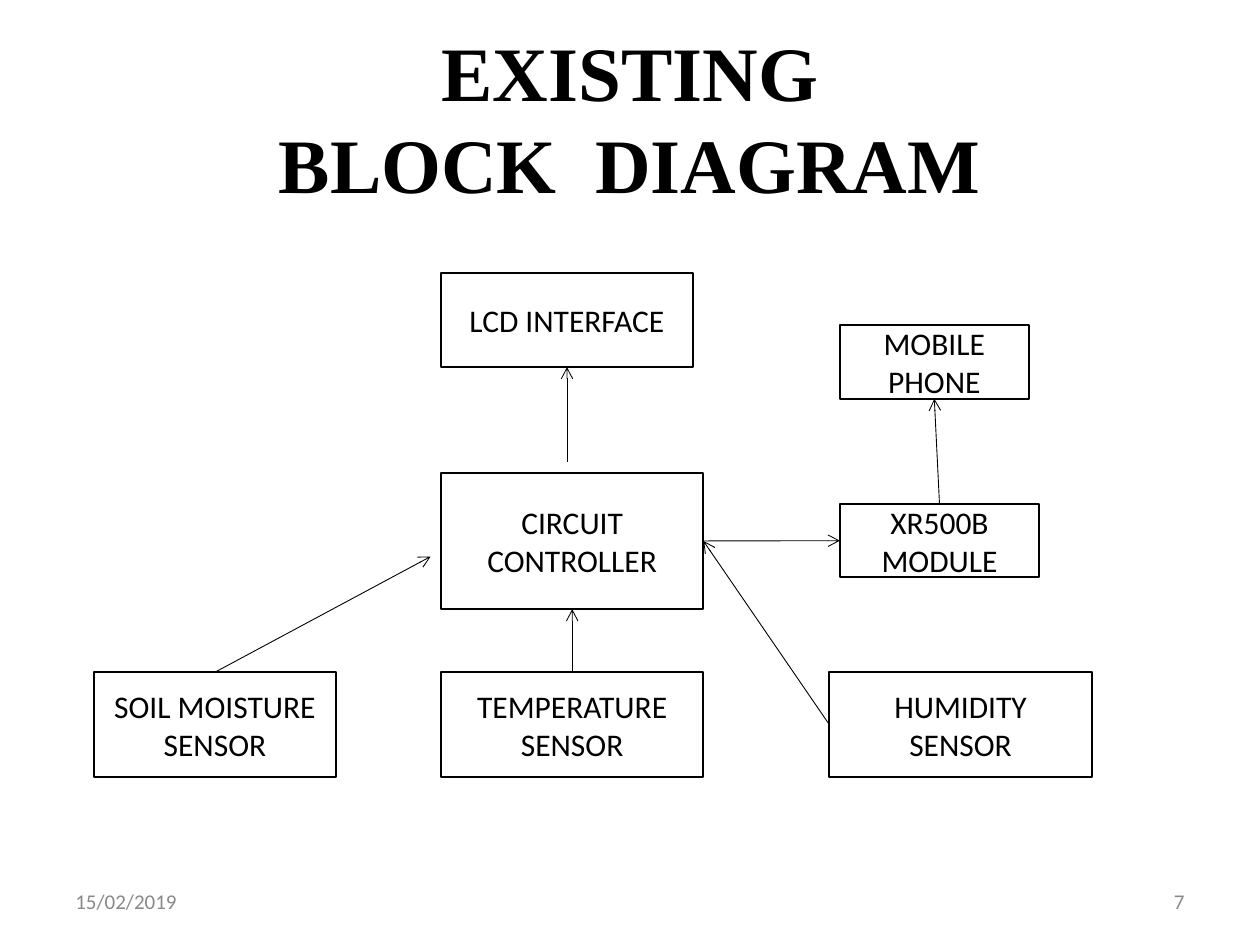
from lxml import etree
from pptx import Presentation
from pptx.dml.color import RGBColor
from pptx.enum.shapes import MSO_CONNECTOR as Connector, MSO_SHAPE as Shape
from pptx.enum.text import MSO_ANCHOR as Anchor, PP_ALIGN as Align
from pptx.oxml.ns import qn
from pptx.util import Cm, Pt

COLORS = {"ink": "000000", "paper": "FFFFFF", "footer": "898989"}
TOP, LEFT, BOTTOM, RIGHT = range(4)


def color(name):
    return RGBColor.from_string(COLORS[name])


def write(shape, text, size, ink, align, font="Calibri", bold=False):
    frame = shape.text_frame
    frame.word_wrap = True
    frame.vertical_anchor = Anchor.MIDDLE
    frame.text = text
    for para in frame.paragraphs:
        para.alignment = align
        for span in para.runs:
            span.font.name = font
            span.font.size = Pt(size)
            span.font.bold = bold
            span.font.color.rgb = color(ink)


deck = Presentation()
deck.slide_width, deck.slide_height = Cm(25.4), Cm(19.05)
page = deck.slides.add_slide(deck.slide_layouts[5])

title = page.shapes.title
title.left, title.top, title.width, title.height = Cm(1.27), Cm(0.76), Cm(22.86), Cm(3.18)
write(title, "EXISTING\vBLOCK  DIAGRAM", 44, "ink", Align.CENTER, "Times New Roman", True)

for text, left, align in [("15/02/2019", 1.27, Align.LEFT), ("7", 18.2, Align.RIGHT)]:
    box = page.shapes.add_textbox(Cm(left), Cm(17.66), Cm(5.93), Cm(1.01))
    write(box, text, 12, "footer", align)

blocks = {
    "lcd": ("LCD INTERFACE", 8.89, 5.5, 5.08, 1.9),
    "soil": ("SOIL MOISTURE SENSOR", 1.9, 13.55, 4.87, 2.12),
    "temperature": ("TEMPERATURE\nSENSOR", 8.89, 13.55, 5.29, 2.12),
    "humidity": ("HUMIDITY\nSENSOR", 16.72, 13.55, 5.29, 2.12),
    "controller": ("CIRCUIT\nCONTROLLER", 8.89, 9.53, 5.29, 2.75),
    "phone": ("MOBILE\nPHONE", 16.93, 6.56, 3.81, 1.48),
    "module": ("XR500B\nMODULE", 16.93, 10.16, 4.02, 1.48),
}
boxes = {}
for name, (text, *place) in blocks.items():
    box = page.shapes.add_shape(Shape.RECTANGLE, *map(Cm, place))
    box.shadow.inherit = False
    box.fill.solid()
    box.fill.fore_color.rgb = color("paper")
    box.line.color.rgb = color("ink")
    box.line.width = Pt(1)
    write(box, text, 18, "ink", Align.CENTER)
    boxes[name] = box

arrows = [
    (("soil", TOP), (8.68, 11.22)),
    (("temperature", TOP), ("controller", BOTTOM)),
    ((11.43, 9.31), ("lcd", BOTTOM)),
    (("humidity", LEFT), ("controller", RIGHT)),
    (("controller", RIGHT), ("module", LEFT)),
    (("module", TOP), ("phone", BOTTOM)),
]
for start, end in arrows:
    arrow = page.shapes.add_connector(Connector.STRAIGHT, 0, 0, 0, 0)
    if start[0] in boxes:
        arrow.begin_connect(boxes[start[0]], start[1])
    else:
        arrow.begin_x, arrow.begin_y = map(Cm, start)
    if end[0] in boxes:
        arrow.end_connect(boxes[end[0]], end[1])
    else:
        arrow.end_x, arrow.end_y = map(Cm, end)
    arrow.line.color.rgb = color("ink")
    arrow.line.width = Pt(0.5)
    properties = arrow._element.spPr
    etree.SubElement(properties.find(qn("a:ln")), qn("a:tailEnd"), type="arrow")
    etree.SubElement(properties, qn("a:effectLst"))

deck.save("out.pptx")
